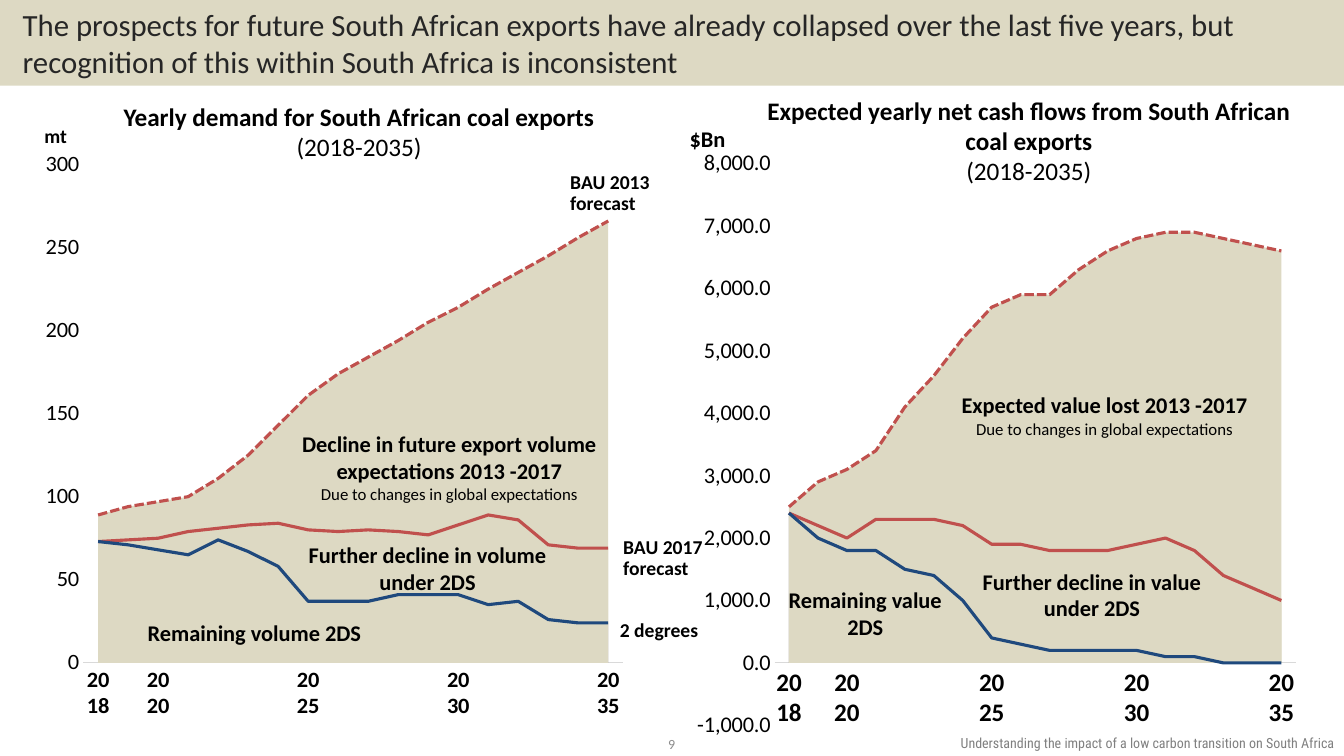
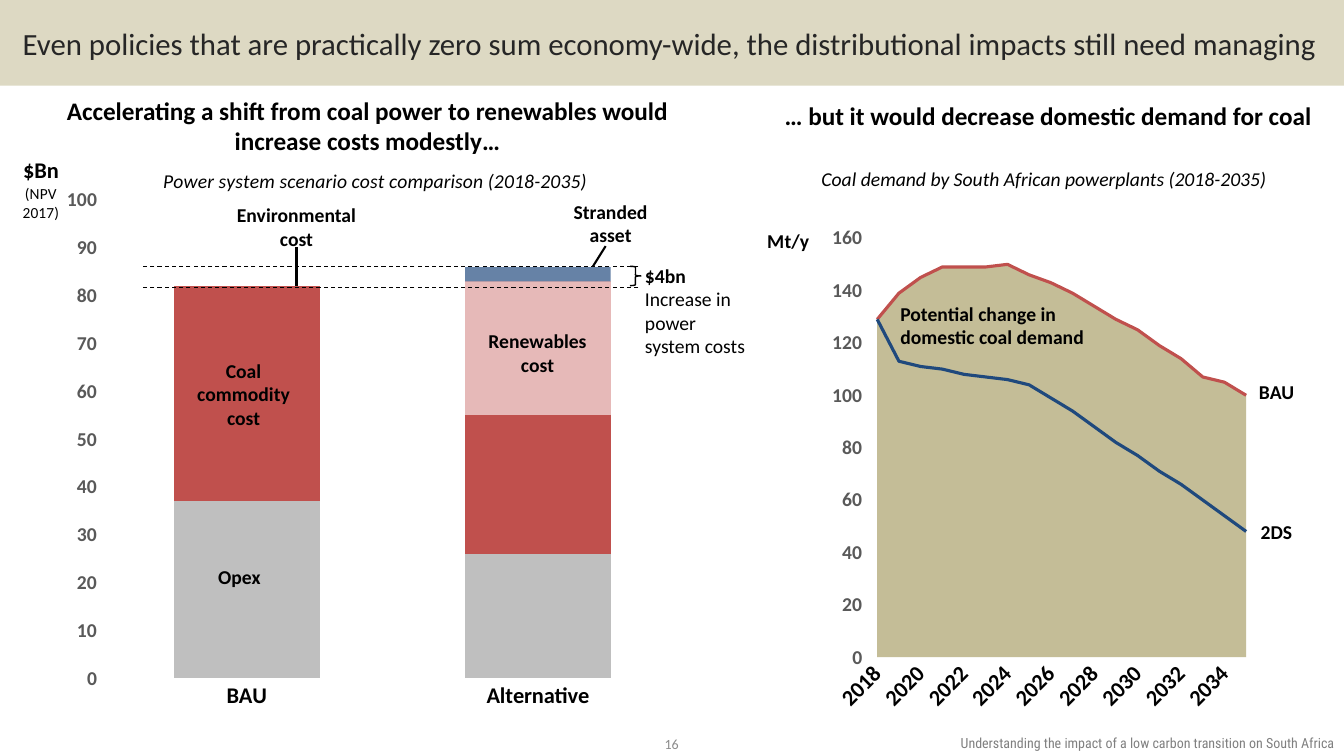
import pptx
import pptx.chart.data
import pptx.dml.color
import pptx.enum.chart
import pptx.enum.dml
import pptx.enum.shapes
import pptx.enum.text
import pptx.oxml
import pptx.oxml.ns
import pptx.util

COLUMNS, ROWS = 160, 90
BAND, KHAKI, MAUVE = "DDD9C3", "C4BD97", "B3A2C7"
RED, NAVY, BLACK, WHITE = "C0504D", "1F497D", "000000", "FFFFFF"
FONT = "Calibri"
FOOTER = "Understanding the impact of a low carbon transition on South Africa"

colour = pptx.dml.color.RGBColor.from_string
qn = pptx.oxml.ns.qn
Pt = pptx.util.Pt
LEFT, CENTER, RIGHT = (pptx.enum.text.PP_ALIGN.LEFT, pptx.enum.text.PP_ALIGN.CENTER,
                       pptx.enum.text.PP_ALIGN.RIGHT)
NONE = pptx.enum.chart.XL_TICK_MARK.NONE
CHART = pptx.enum.chart.XL_CHART_TYPE
DASH = pptx.enum.dml.MSO_LINE

presentation = pptx.Presentation()
presentation.slide_width = pptx.util.Inches(13.33)
presentation.slide_height = pptx.util.Inches(7.5)
column = presentation.slide_width / COLUMNS
row = presentation.slide_height / ROWS


def add_text(slide, box, text, size=16, align=CENTER, bold_lines=9, note_size=None,
             spacing=1.0, ink=BLACK, font=FONT, italic=False):
    """Add a text box on the grid; lines after bold_lines are plain, in note_size."""
    left, top, width, height = box
    shape = slide.shapes.add_textbox(int(left * column), int(top * row),
                                     int(width * column), int(height * row))
    shape.text_frame.word_wrap = True
    shape.text_frame.text = text
    for number, paragraph in enumerate(shape.text_frame.paragraphs):
        paragraph.alignment = align
        paragraph.line_spacing = spacing
        bold = number < bold_lines
        for run in paragraph.runs:
            run.font.name = font
            run.font.size = Pt(size if bold else note_size or size)
            run.font.bold = bold
            run.font.italic = italic
            run.font.color.rgb = colour(ink)
    return shape


def set_layout(element, position, index):
    """Fix a plot area (x, y, w, h) or a title (x, y) as shares of its chart."""
    for old in element.findall(qn("c:layout")):
        element.remove(old)
    target = '<c:layoutTarget val="inner"/>' if len(position) == 4 else ""
    modes = '<c:xMode val="edge"/><c:yMode val="edge"/>'
    sizes = "".join(f'<c:{name} val="{share}"/>' for name, share in zip("xywh", position))
    element.insert(index, pptx.oxml.parse_xml(
        f'<c:layout {pptx.oxml.ns.nsdecls("c")}><c:manualLayout>'
        f'{target}{modes}{sizes}</c:manualLayout></c:layout>'))


# Title band, footer and page number
slides = []
for title, page in [
    ("The prospects for future South African exports have already collapsed over the last "
     "five years, but recognition of this within South Africa is inconsistent", "9"),
    ("Even policies that are practically zero sum economy-wide, the distributional impacts "
     "still need managing", "16"),
]:
    slide = presentation.slides.add_slide(presentation.slide_layouts[5])
    band = slide.shapes.title
    band.left, band.top = 0, 0
    band.width, band.height = presentation.slide_width, int(10.2 * row)
    band.fill.solid()
    band.fill.fore_color.rgb = colour(BAND)
    frame = band.text_frame
    frame.text = title
    frame.auto_size = pptx.enum.text.MSO_AUTO_SIZE.NONE
    frame.word_wrap = True
    frame.vertical_anchor = pptx.enum.text.MSO_ANCHOR.MIDDLE
    frame.margin_left = int(2.7 * column)
    frame.paragraphs[0].alignment = LEFT
    font = frame.paragraphs[0].runs[0].font
    font.name, font.size, font.color.rgb = FONT, Pt(22), colour("262626")
    add_text(slide, (96, 86.8, 64, 3.2), FOOTER, 10, RIGHT, bold_lines=0, ink="808080",
             font="Roboto Condensed")
    number = add_text(slide, (61.3, 87.2, 37.3, 2.8), page, 10, bold_lines=0, ink="8C8C8C")
    number.text_frame.vertical_anchor = pptx.enum.text.MSO_ANCHOR.MIDDLE
    slides.append(slide)
exports, policies = slides

# Area charts: every series is filled, then drawn again as a line
years = [str(year) for year in range(2018, 2036)]
labelled = {"2018", "2020", "2025", "2030", "2035"}
sparse_years = [year if year in labelled else "" for year in years]

cash_2013 = [2500, 2900, 3100, 3400, 4100, 4600, 5200, 5700, 5900,
             5900, 6300, 6600, 6800, 6900, 6900, 6800, 6700, 6600]
cash_2017 = [2400, 2200, 2000, 2300, 2300, 2300, 2200, 1900, 1900,
             1800, 1800, 1800, 1900, 2000, 1800, 1400, 1200, 1000]
cash_2ds = [2400, 2000, 1800, 1800, 1500, 1400, 1000, 400, 300,
            200, 200, 200, 200, 100, 100, 0, 0, 0]
volume_2013 = [89, 94, 97, 100, 111, 125, 143, 161, 174, 184, 194, 205, 214, 225, 235, 245, 256, 266]
volume_2017 = [73, 74, 75, 79, 81, 83, 84, 80, 79, 80, 79, 77, 83, 89, 86, 71, 69, 69]
volume_2ds = [73, 71, 68, 65, 74, 67, 58, 37, 37, 37, 41, 41, 41, 35, 37, 26, 24, 24]
demand_bau = [129, 139, 145, 149, 149, 149, 150, 146, 143, 139, 134, 129, 125, 119, 114, 107, 105, 100]
demand_2ds = [129, 113, 111, 110, 108, 107, 106, 104, 99, 94, 88, 82, 77, 71, 66, 60, 54, 48]

export_style = dict(slide=exports, years=sparse_years, fills=[BAND, KHAKI, MAUVE],
                    lines=[(RED, DASH.SQUARE_DOT), (RED, None), (NAVY, None)],
                    label_size=16, label_ink=BLACK, bold=False, skip=1, turn=0)
area_charts = [
    dict(export_style, box=(83, 17, 74, 71), plot=(0.12, 0.035, 0.843, 0.942),
         values=[cash_2013, cash_2017, cash_2ds], scale=(-1000, 8000, 1000),
         number_format="#,##0.0", year_size=18),
    dict(export_style, box=(4.1, 16.7, 72.5, 69), plot=(0.08, 0.043, 0.887, 0.883),
         values=[volume_2013, volume_2017, volume_2ds], scale=(0, 300, 50),
         number_format="General", year_size=16),
    dict(slide=policies, box=(89.8, 25.7, 61.2, 60.4), plot=(0.218, 0.044, 0.76, 0.826),
         years=years, values=[demand_bau, demand_2ds], fills=[KHAKI, WHITE],
         lines=[(RED, None), (NAVY, None)], scale=(0, 160, 20), number_format="#,##0",
         label_size=14, label_ink="595959", bold=True, year_size=16, skip=2, turn=-45),
]
cost_chart = dict(
    slide=policies, box=(2, 17, 81, 69), plot=(0.124, 0.099, 0.856, 0.825),
    years=["BAU", "Alternative"], scale=(0, 100, 10), number_format="General",
    values=[[37, 26], [45, 29], [0, 28], [0, 0], [0, 0], [0, 3]],
    fills=["BFBFBF", RED, "E6B9B8", "9BBB59", "4A452A", "00306C"], lines=[],
    label_size=14, label_ink="595959", bold=True, year_size=16, skip=1, turn=0)

charts = []
for style in area_charts + [cost_chart]:
    data = pptx.chart.data.CategoryChartData()
    data.categories = style["years"]
    all_values = style["values"] * (2 if style["lines"] else 1)
    for number, values in enumerate(all_values, 1):
        data.add_series(f"Series {number}", values)
    left, top, width, height = style["box"]
    kind = CHART.AREA if style["lines"] else CHART.COLUMN_STACKED
    chart = style["slide"].shapes.add_chart(
        kind, int(left * column), int(top * row), int(width * column), int(height * row),
        data).chart
    charts.append(chart)
    chart.has_legend = False
    chart.has_title = False
    chart.font.name, chart.font.size, chart.font.color.rgb = FONT, Pt(14), colour(BLACK)

    plot_area = chart._chartSpace.chart.plotArea
    if style["lines"]:
        area = plot_area.find(qn("c:areaChart"))
        line_chart = pptx.oxml.parse_xml(
            f'<c:lineChart {pptx.oxml.ns.nsdecls("c")}><c:grouping val="standard"/>'
            '<c:varyColors val="0"/></c:lineChart>')
        for series in area.findall(qn("c:ser"))[len(style["fills"]):]:
            for flag in series.findall(qn("c:invertIfNegative")):
                series.remove(flag)
            line_chart.append(series)
        for axis_id in area.findall(qn("c:axId")):
            line_chart.append(pptx.oxml.parse_xml(
                f'<c:axId {pptx.oxml.ns.nsdecls("c")} val="{axis_id.get("val")}"/>'))
        area.addnext(line_chart)
        for series, (ink, dash) in zip(chart.plots[1].series, style["lines"]):
            series.smooth = False
            series.marker.style = pptx.enum.chart.XL_MARKER_STYLE.NONE
            series.format.line.color.rgb = colour(ink)
            series.format.line.width = Pt(2.25)
            if dash:
                series.format.line.dash_style = dash
    chart.plots[0].vary_by_categories = False
    for series, fill in zip(chart.plots[0].series, style["fills"]):
        series.format.fill.solid()
        series.format.fill.fore_color.rgb = colour(fill)

    value_axis, year_axis = chart.value_axis, chart.category_axis
    (value_axis.minimum_scale, value_axis.maximum_scale,
     value_axis.major_unit) = style["scale"]
    for axis, size, ink, bold in [
        (value_axis, style["label_size"], style["label_ink"], style["bold"]),
        (year_axis, style["year_size"], BLACK, True),
    ]:
        axis.has_major_gridlines = False
        axis.major_tick_mark = axis.minor_tick_mark = NONE
        axis.format.line.fill.background()
        font = axis.tick_labels.font
        font.name, font.size, font.bold = FONT, Pt(size), bold
        font.color.rgb = colour(ink)
    value_axis.tick_labels.number_format = style["number_format"]
    value_axis.tick_labels.number_format_is_linked = False
    if style["slide"] is exports:
        year_axis.format.line.color.rgb = colour("D9D9D9")
        year_axis.format.line.width = Pt(0.75)
    for cross in value_axis._element.findall(qn("c:crossBetween")):
        cross.set("val", "between")
    year_axis._element.find(qn("c:txPr")).find(qn("a:bodyPr")).set(
        "rot", str(style["turn"] * 60000))
    year_axis._element.find(qn("c:noMultiLvlLbl")).addprevious(pptx.oxml.parse_xml(
        f'<c:tickLblSkip {pptx.oxml.ns.nsdecls("c")} val="{style["skip"]}"/>'))
    set_layout(plot_area, style["plot"], 0)

demand, costs = charts[2:]
costs.plots[0].gap_width, costs.plots[0].overlap = 100, 100
stranded_fill = costs.plots[0].series[5]._element.find(qn("c:spPr"))
for tint in stranded_fill.iter(qn("a:srgbClr")):
    tint.append(pptx.oxml.parse_xml(f'<a:alpha {pptx.oxml.ns.nsdecls("a")} val="60000"/>'))

# Chart and axis titles
for chart_title, text, sizes, position, bold, italic in [
    (costs.chart_title, "Power system scenario cost comparison (2018-2035)", [14],
     (0.21, 0.036), False, True),
    (costs.value_axis.axis_title, "$Bn\n(NPV\n2017)", [16, 11, 11], (0.004, 0.017), True, False),
    (demand.value_axis.axis_title, "Mt/y", [14], (0.018, 0.016), True, False),
]:
    chart_title.text_frame.text = text
    for paragraph, size in zip(chart_title.text_frame.paragraphs, sizes):
        font = paragraph.runs[0].font
        font.name, font.size, font.color.rgb = FONT, Pt(size), colour(BLACK)
        font.bold, font.italic = bold and size > 11, italic
    for body in chart_title._element.iter(qn("a:bodyPr")):
        body.set("rot", "0")
        body.set("vert", "horz")
    set_layout(chart_title._element, position, 1)

# Headings and chart labels
cause = "Due to changes in global expectations"
for box, text, options in [
    ((11.8, 11.5, 61.9, 8.5), "Yearly demand for South African coal exports\n(2018-2035)",
     dict(size=18, bold_lines=1)),
    ((88.3, 10.7, 68.4, 12.1),
     "Expected yearly net cash flows from South African\ncoal exports\n(2018-2035)",
     dict(size=18, bold_lines=2)),
    ((80.9, 14.3, 8, 4.4), "$Bn", dict(align=LEFT)),
    ((4.1, 14.2, 8, 4.1), "mt", dict(size=14, align=LEFT)),
    ((112, 46, 39, 6.8), f"Expected value lost 2013 -2017\n{cause}",
     dict(bold_lines=1, note_size=12)),
    ((34, 50.6, 39, 10), f"Decline in future export volume expectations 2013 -2017\n{cause}",
     dict(bold_lines=1, note_size=12)),
    ((110.5, 67, 39, 7.7), "Further decline in value\nunder 2DS", {}),
    ((31.4, 63.8, 39, 7.7), "Further decline in volume\nunder 2DS", {}),
    ((83.5, 69.2, 39, 7.7), "Remaining value\n2DS", {}),
    ((10.8, 73.1, 39, 6.8), "Remaining volume 2DS", {}),
]:
    add_text(exports, box, text, **options)
for box, text in [((66.7, 19.9, 12.5, 6.4), "BAU 2013 forecast"),
                  ((73, 63.4, 12.5, 6.4), "BAU 2017 forecast"),
                  ((72.6, 73.3, 14, 3.7), "2 degrees")]:
    add_text(exports, box, text, 14, LEFT, spacing=0.9)

for box, text, options in [
    ((2, 10.7, 83.5, 8.5),
     "Accelerating a shift from coal power to renewables would increase costs modestly…",
     dict(size=18)),
    ((89.6, 11.3, 70.4, 4.4), "… but it would decrease domestic demand for coal", dict(size=18)),
    ((89.1, 19.3, 70.4, 4), "Coal demand by South African powerplants (2018-2035)",
     dict(bold_lines=0, italic=True)),
    ((21.8, 66.7, 13.4, 7.8), "Opex", {}),
    ((21, 42.1, 16, 7.8), "Coal commodity cost", {}),
    ((26.2, 23.6, 18.2, 7.8), "Environmental cost", {}),
    ((64.7, 23.2, 16, 7.8), "Stranded asset", {}),
    ((56, 38.6, 16, 7.8), "Renewables cost", {}),
    ((75.6, 30.8, 14.4, 15), "$4bn\nIncrease in power system costs",
     dict(align=LEFT, bold_lines=1)),
    ((106, 35.3, 29, 6.8), "Potential change in domestic coal demand", dict(align=LEFT)),
    ((148.7, 45, 11, 3.7), "BAU", dict(align=LEFT, spacing=0.9)),
    ((148.9, 61.6, 11, 3.7), "2DS", dict(align=LEFT, spacing=0.9)),
]:
    add_text(policies, box, text, **{"size": 14, **options})

# Cost gap: pointers, dashed levels and brace
for x1, y1, x2, y2, weight, dash in [
    (35.3, 34, 35.3, 29.4, 1.5, None),
    (72.1, 29.3, 70.6, 31.7, 1.5, None),
    (76, 34.2, 16.8, 34.2, 0.75, DASH.DASH),
    (76, 31.7, 16.8, 31.7, 0.75, DASH.DASH),
]:
    connector = policies.shapes.add_connector(
        pptx.enum.shapes.MSO_CONNECTOR.STRAIGHT, int(x1 * column), int(y1 * row),
        int(x2 * column), int(y2 * row))
    connector.line.color.rgb = colour(BLACK)
    connector.line.width = Pt(weight)
    if dash:
        connector.line.dash_style = dash
    connector._element.spPr.append(pptx.oxml.parse_xml(
        f'<a:effectLst {pptx.oxml.ns.nsdecls("a")}/>'))
brace = policies.shapes.add_shape(
    pptx.enum.shapes.MSO_SHAPE.RIGHT_BRACE, int(75 * column), int(31.7 * row),
    int(1.3 * column), int(2.3 * row))
brace.shadow.inherit = False
brace.fill.background()
brace.line.color.rgb = colour(BLACK)
brace.line.width = Pt(1)

presentation.save("out.pptx")
